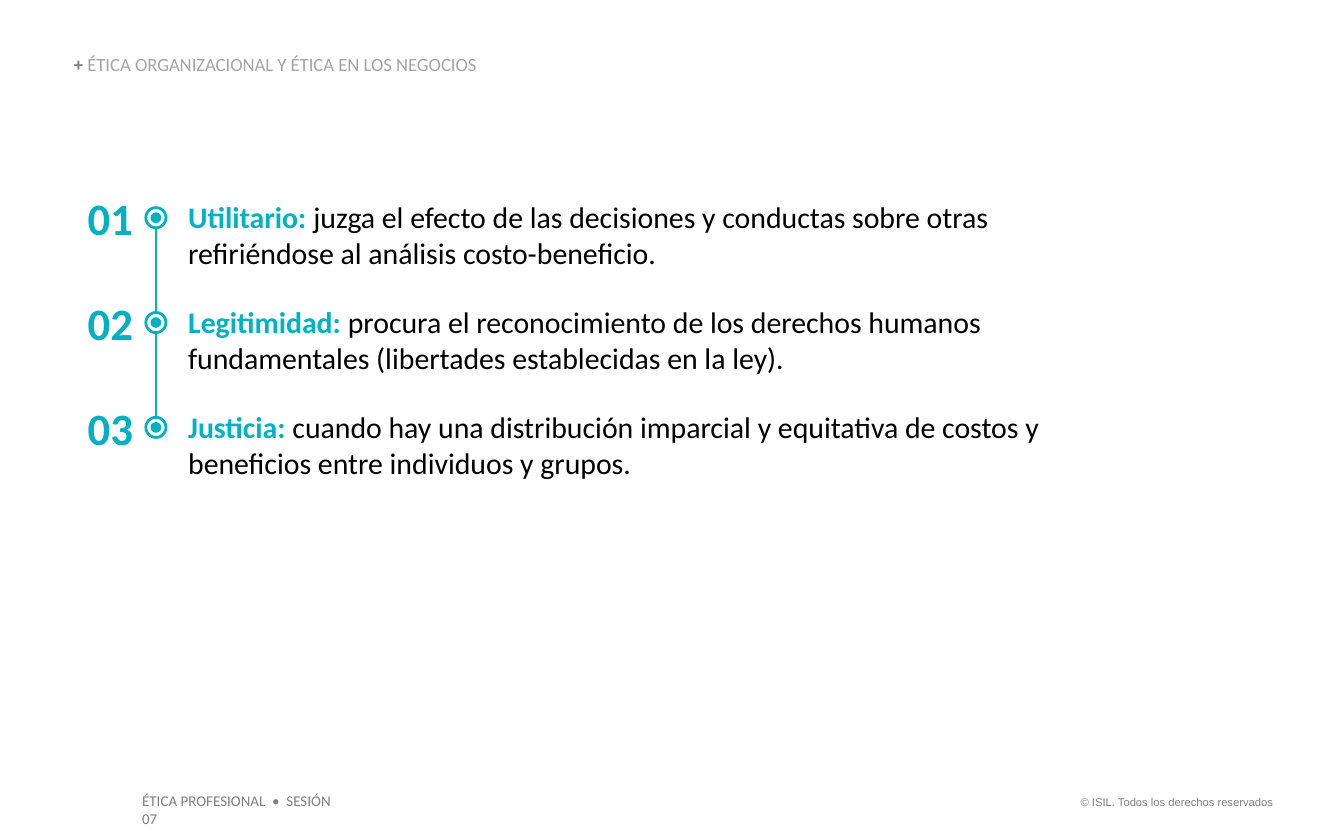
"""Builds a slide with three numbered ethical approaches on a timeline."""
from lxml.etree import SubElement
from pptx import Presentation
from pptx.dml.color import RGBColor
from pptx.enum.shapes import MSO_CONNECTOR, MSO_SHAPE
from pptx.enum.text import MSO_ANCHOR, MSO_AUTO_SIZE, PP_ALIGN
from pptx.oxml.ns import qn
from pptx.util import Inches, Pt

HUES = {"teal": "01B1C3", "term": "00B2C3", "ink": "000000",
        "gray": "7F7F7F", "pale": "A5A5A5", "white": "FFFFFF"}
WIDE, HIGH = 10, 6.25
LEFT, AXIS, BODY = 0.55, 1.16, 1.4
TOP, STEP = 1.42, 0.78
RING, DOT = 0.15, 0.08
ITEMS = [
    ("Utilitario: ", "juzga el efecto de las decisiones y conductas sobre otras "
     "refiriéndose al análisis costo-beneficio."),
    ("Legitimidad: ", "procura el reconocimiento de los derechos humanos "
     "fundamentales (libertades establecidas en la ley)."),
    ("Justicia: ", "cuando hay una distribución imparcial y equitativa de costos y "
     "beneficios entre individuos y grupos."),
]


def tint(name):
    return RGBColor.from_string(HUES[name])


def write(shape, runs, size, font="Calibri", align=PP_ALIGN.LEFT,
          anchor=MSO_ANCHOR.TOP, inset=(0, 0), space=1.0):
    """Fill a shape with one paragraph of (text, hue, bold) runs."""
    frame = shape.text_frame
    frame.word_wrap = True
    frame.auto_size = MSO_AUTO_SIZE.NONE
    frame.vertical_anchor = anchor
    frame.margin_left = frame.margin_right = Inches(inset[0])
    frame.margin_top = frame.margin_bottom = Inches(inset[1])
    para = frame.paragraphs[0]
    para.alignment = align
    para.line_spacing = space
    for text, hue, bold in runs:
        run = para.add_run()
        run.text = text
        run.font.name = font
        run.font.size = Pt(size)
        run.font.bold = bold
        run.font.color.rgb = tint(hue)


def label(slide, box, runs, size, **style):
    shape = slide.shapes.add_textbox(*map(Inches, box))
    write(shape, runs, size, **style)


def head(slide):
    title = slide.shapes.title
    title.left, title.top, title.width, title.height = map(
        Inches, (LEFT, 0.41, 5.23, RING))
    write(title, [("+ ", "gray", True),
                  ("ÉTICA ORGANIZACIONAL Y ÉTICA EN LOS NEGOCIOS", "pale", False)],
          10, anchor=MSO_ANCHOR.BOTTOM, space=0.9)


def foot(slide):
    label(slide, (0.96, 5.84, 1.74, 0.24),
          [("ÉTICA PROFESIONAL  •  SESIÓN 07", "gray", False)], 8, inset=(0.1, 0.05))
    label(slide, (7.88, 5.87, 1.69, 0.2),
          [("© ISIL. Todos los derechos reservados", "gray", False)], 6,
          font="Arial", align=PP_ALIGN.RIGHT, inset=(0.1, 0.05))


def disc(group, mid, size, fill, edge=None):
    shape = group.shapes.add_shape(
        MSO_SHAPE.OVAL, Inches(AXIS - size / 2), Inches(mid - size / 2),
        Inches(size), Inches(size))
    shape.shadow.inherit = False
    shape.fill.solid()
    shape.fill.fore_color.rgb = tint(fill)
    if edge:
        shape.line.color.rgb = tint(edge)
        shape.line.width = Pt(1.5)
    else:
        shape.line.fill.background()


def stem(slide, start, end):
    line = slide.shapes.add_connector(
        MSO_CONNECTOR.STRAIGHT, Inches(AXIS), Inches(start), Inches(AXIS), Inches(end))
    line.line.color.rgb = tint("teal")
    line.line.width = Pt(1)
    SubElement(line.element.spPr, qn("a:effectLst"))


def entry(slide, index, term, text):
    top = TOP + index * STEP
    mid = top + 0.2
    label(slide, (BODY, top + 0.06, 6.52, 0.54),
          [(term, "term", True), (text, "ink", False)], 16)
    label(slide, (LEFT, top, 0.44, 0.4), [(f"{index + 1:02d}", "teal", True)], 24,
          align=PP_ALIGN.RIGHT)
    group = slide.shapes.add_group_shape()
    disc(group, mid, RING, "white", "teal")
    disc(group, mid, DOT, "teal")


def main():
    deck = Presentation()
    deck.slide_width, deck.slide_height = Inches(WIDE), Inches(HIGH)
    slide = deck.slides.add_slide(deck.slide_layouts[5])
    head(slide)
    foot(slide)
    first = TOP + 0.2
    last = first + STEP * (len(ITEMS) - 1)
    stem(slide, first + RING / 2, last - RING / 2)
    for index, (term, text) in enumerate(ITEMS):
        entry(slide, index, term, text)
    deck.save("out.pptx")


if __name__ == "__main__":
    main()
